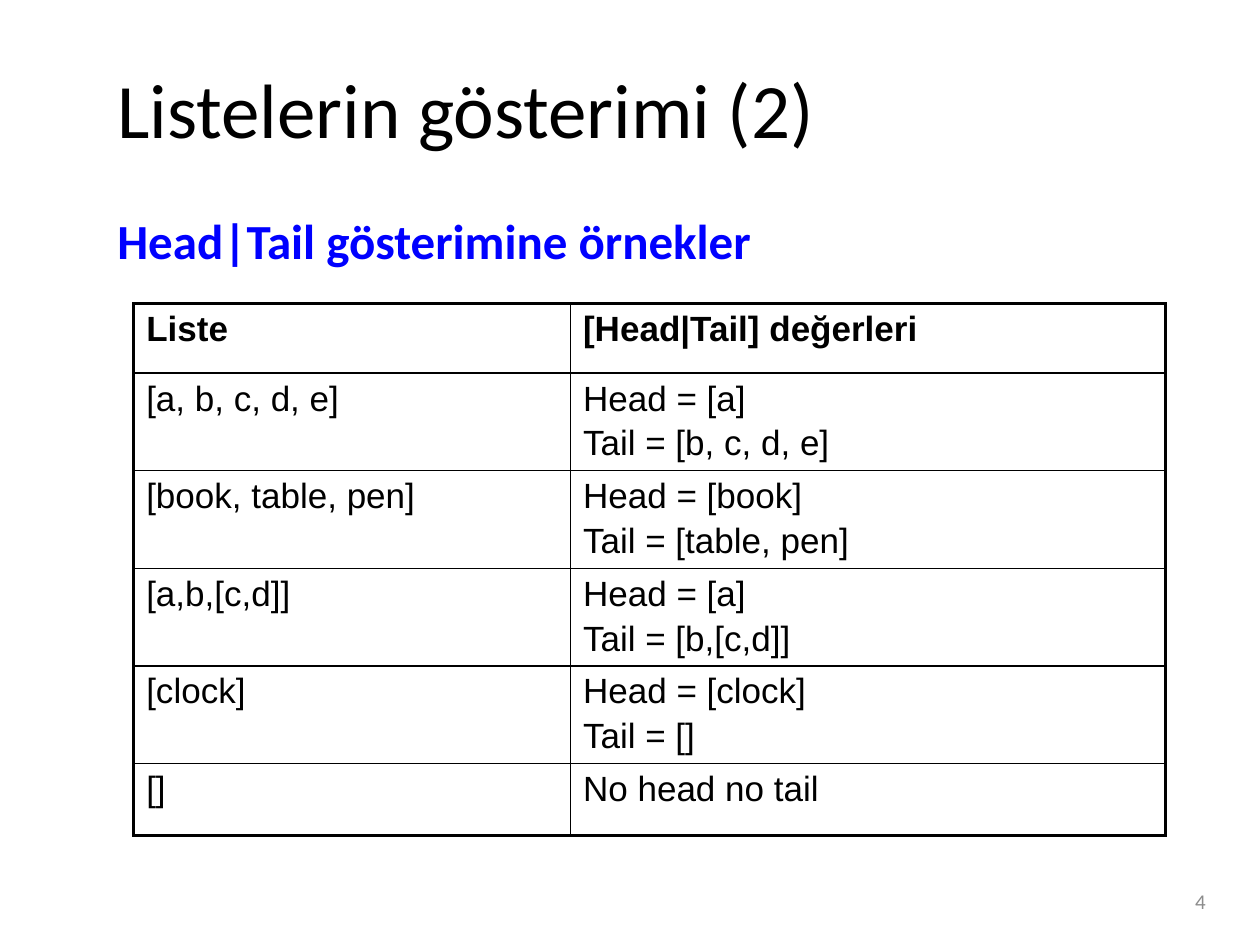
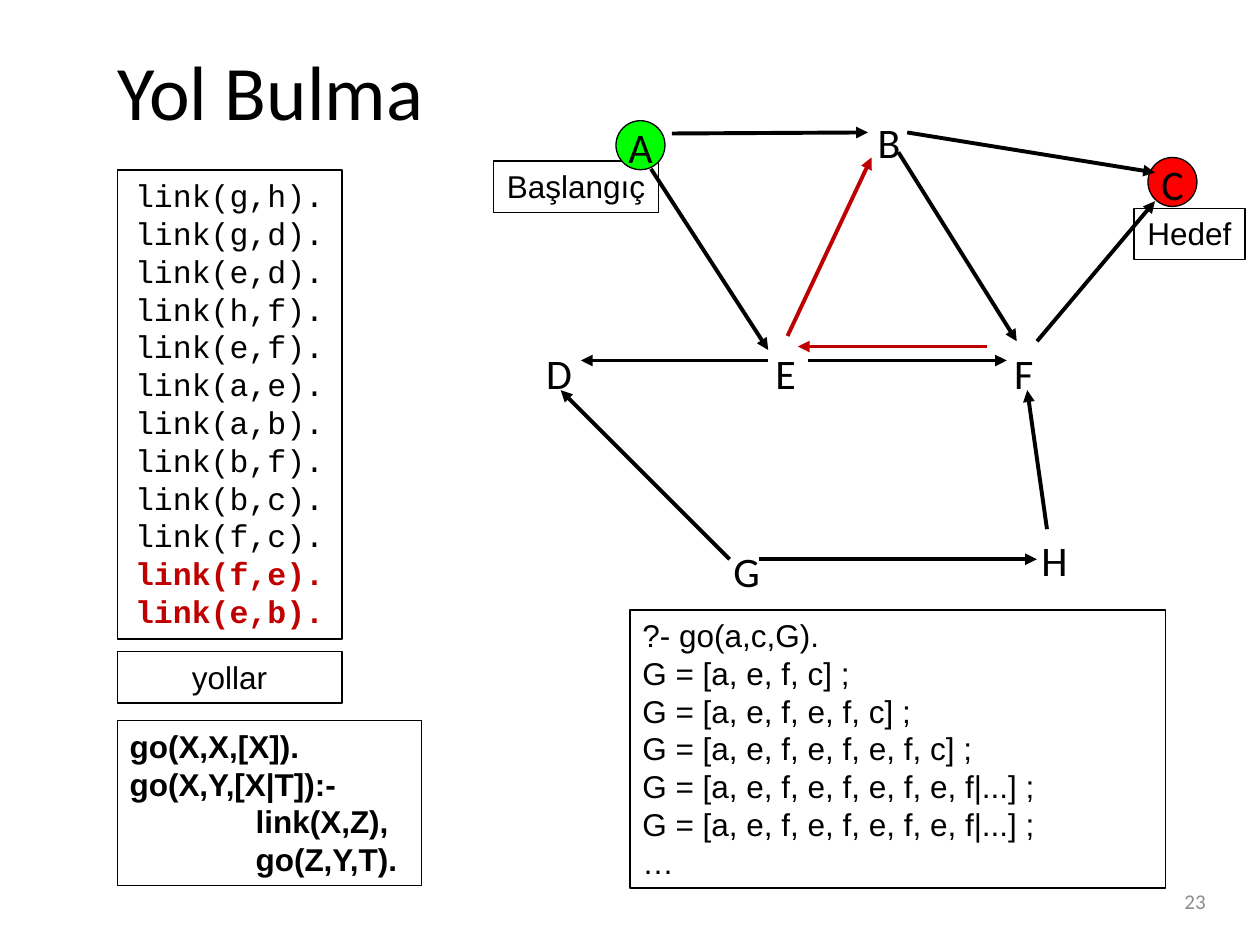
import lxml.etree
import pptx
import pptx.dml.color
import pptx.enum.shapes
import pptx.enum.text
import pptx.oxml.ns
import pptx.util

Pt = pptx.util.Pt
ALIGN = pptx.enum.text.PP_ALIGN
ANCHOR = pptx.enum.text.MSO_ANCHOR
SHAPE = pptx.enum.shapes.MSO_SHAPE
qn = pptx.oxml.ns.qn

BLACK, RED = "000000", "C00000"
TITLE = {"name": "Calibri", "size": Pt(44)}
NUMBER = {"name": "Calibri", "size": Pt(12), "color": "8C8C8C"}
HEADING = {"name": "Calibri", "size": Pt(28), "bold": True, "color": "0000FF"}
CELL = {"name": "Arial", "size": Pt(20)}
NODE = {"name": "Calibri", "size": Pt(24)}
BODY = {"name": "Arial", "size": Pt(18)}
CODE = {"name": "Courier New", "size": Pt(18)}
BOLD = {"bold": True}
CENTER = {"alignment": ALIGN.CENTER}
CODE_LINE = {"line_spacing": Pt(21.6)}

LIST_ROWS = [
    ("Liste", "[Head|Tail] değerleri"),
    ("[a, b, c, d, e]", "Head = [a]\nTail = [b, c, d, e]"),
    ("[book, table, pen]", "Head = [book]\nTail = [table, pen]"),
    ("[a,b,[c,d]]", "Head = [a]\nTail = [b,[c,d]]"),
    ("[clock]", "Head = [clock]\nTail = []"),
    ("[]", "No head no tail"),
]
LINKS = ["gh", "gd", "ed", "hf", "ef", "ae", "ab", "bf", "bc", "fc", "fe", "eb"]
NEW_LINKS = ["fe", "eb"]
RULES = ["go(X,X,[X]).", "go(X,Y,[X|T]):-", "link(X,Z),", "go(Z,Y,T)."]
ANSWERS = [
    "?- go(a,c,G).",
    "G = [a, e, f, c] ;",
    "G = [a, e, f, e, f, c] ;",
    "G = [a, e, f, e, f, e, f, c] ;",
    "G = [a, e, f, e, f, e, f, e, f|...] ;",
    "G = [a, e, f, e, f, e, f, e, f|...] ;",
    "…",
]

# Graph positions are relative to the top left corner of the graph.
NODES = {  # letter: (centre x, top)
    "A": (86, 6), "B": (228, 3), "C": (390, 27), "F": (305, 135),
    "E": (169, 135), "D": (39, 135), "G": (146, 248), "H": (322, 242),
}
NODE_FILLS = {"A": "00FF00", "C": "FF0000"}
TAGS = [("Hedef", 368, 59, 63.4), ("Başlangıç", 2, 32, 94.4)]
ARROWS = [  # from x, from y, to x, to y, colour
    (92, 36.5, 159, 140, BLACK),
    (104, 16.3, 216, 15.7, BLACK),
    (159, 146, 52, 146, BLACK),
    (137, 259.6, 40.4, 163, BLACK),
    (153.5, 259.6, 312.5, 259.6, BLACK),
    (318.3, 242.4, 307, 163, BLACK),
    (182, 146, 295.3, 146, BLACK),
    (312.6, 135, 380, 55, BLACK),
    (233.4, 27, 301, 135, BLACK),
    (238.4, 15.7, 380, 38.6, BLACK),
    (284, 138, 176, 138, RED),
    (170, 132, 218, 30, RED),
]


def rgb(value):
    return pptx.dml.color.RGBColor.from_string(value)


def apply(target, values):
    for name, value in values.items():
        setattr(target, name, value)


def write(frame, lines, font, paragraph_format=None):
    """Write one paragraph a line; a line is a text or a (text, font changes) pair."""
    for index, line in enumerate(lines):
        text, changes = (line, {}) if isinstance(line, str) else line
        paragraph = frame.add_paragraph() if index else frame.paragraphs[0]
        apply(paragraph, paragraph_format or {})
        run = paragraph.add_run()
        run.text = text
        values = {"color": BLACK, **font, **changes}
        run.font.color.rgb = rgb(values.pop("color"))
        apply(run.font, values)


def add_text(slide, box, lines, font, paragraph_format=None, **frame_format):
    frame = slide.shapes.add_textbox(*map(Pt, box)).text_frame
    apply(frame, {"word_wrap": True, **frame_format})
    write(frame, lines, font, paragraph_format)


def add_outlined(slide, kind, box, fill=None):
    shape = slide.shapes.add_shape(kind, *map(Pt, box))
    shape.shadow.inherit = False
    if fill:
        shape.fill.solid()
        shape.fill.fore_color.rgb = rgb(fill)
    else:
        shape.fill.background()
    shape.line.color.rgb = rgb(BLACK)
    shape.line.width = Pt(0.75)
    return shape


def add_framed_text(slide, box, lines, font, paragraph_format, wrap=True, fill=None):
    frame = add_outlined(slide, SHAPE.RECTANGLE, box, fill).text_frame
    apply(frame, {"word_wrap": wrap, "vertical_anchor": ANCHOR.TOP})
    write(frame, lines, font, paragraph_format)
    return frame


def add_arrow(slide, start, end, color):
    arrow = slide.shapes.add_connector(
        pptx.enum.shapes.MSO_CONNECTOR.STRAIGHT, *map(Pt, start + end))
    arrow.line.color.rgb = rgb(color)
    arrow.line.width = Pt(2.25)
    head = lxml.etree.SubElement(arrow.line._get_or_add_ln(), qn("a:tailEnd"))
    head.set("type", "triangle")
    lxml.etree.SubElement(arrow._element.spPr, qn("a:effectLst"))


def set_borders(cell, widths):
    """Draw the left, right, top and bottom borders, in that order."""
    properties = cell._tc.get_or_add_tcPr()
    for index, (side, width) in enumerate(zip("LRTB", widths)):
        line = lxml.etree.Element(qn("a:ln" + side), w=str(int(Pt(width))))
        fill = lxml.etree.SubElement(line, qn("a:solidFill"))
        lxml.etree.SubElement(fill, qn("a:srgbClr"), val=BLACK)
        properties.insert(index, line)


def add_list_table(slide, left, top):
    widths = [249.6, 340]
    heights = [39.6] + [55.8] * 4 + [41]
    last_row, last_column = len(heights) - 1, len(widths) - 1
    table = slide.shapes.add_table(
        len(heights), len(widths), Pt(left), Pt(top),
        Pt(sum(widths)), Pt(sum(heights))).table
    apply(table, {"first_row": False, "horz_banding": False})
    for column, width in zip(table.columns, widths):
        column.width = Pt(width)
    for r, (row, height) in enumerate(zip(table.rows, heights)):
        row.height = Pt(height)
        for c, cell in enumerate(row.cells):
            cell.fill.background()
            cell.margin_bottom = 0
            write(cell.text_frame, LIST_ROWS[r][c].split("\n"),
                  {**CELL, "bold": r == 0})
            for paragraph in cell.text_frame.paragraphs[1:]:
                paragraph.space_before = Pt(3.3)
            outer = (c == 0, c == last_column, r == 0, r == last_row)
            set_borders(cell, [2.25 if side else 1 for side in outer])


def add_graph(slide, left, top):
    for text, x, y, width in TAGS:
        add_framed_text(slide, (left + x, top + y, width, 29.5), [text],
                        BODY, CENTER, wrap=False)
    for letter, fill in NODE_FILLS.items():
        x, y = NODES[letter]
        add_outlined(slide, SHAPE.OVAL, (left + x - 14, top + y + 3, 28, 28), fill)
    for letter, (x, y) in NODES.items():
        add_text(slide, (left + x - 14, top + y, 28, 36), [letter], NODE, CENTER,
                 word_wrap=False)
    for x1, y1, x2, y2, color in ARROWS:
        add_arrow(slide, (left + x1, top + y1), (left + x2, top + y2), color)


def add_program(slide, left, top):
    """Stack the link facts, their caption and the rules."""
    facts = [(f"link({a},{b}).", {"bold": True, "color": RED} if a + b in NEW_LINKS else {})
             for a, b in LINKS]
    add_framed_text(slide, (left, top, 128.4, 268), facts, CODE, {**CENTER, **CODE_LINE})
    add_framed_text(slide, (left, top + 275, 128.4, 29.5), ["yollar"], BODY, CENTER,
                    fill="FFFFFF")
    rules = add_framed_text(slide, (left, top + 314.6, 174, 94.4), RULES,
                            {**BODY, **BOLD}, {"alignment": ALIGN.LEFT, **CODE_LINE})
    for paragraph in rules.paragraphs[2:]:
        paragraph._p.get_or_add_pPr().set("marL", str(int(Pt(72))))


def add_page(presentation, title, title_box, number):
    slide = presentation.slides.add_slide(presentation.slide_layouts[6])
    add_text(slide, title_box, [title], TITLE, vertical_anchor=ANCHOR.MIDDLE)
    add_text(slide, (528, 500.4, 168, 28.8), [number], NUMBER,
             {"alignment": ALIGN.RIGHT}, vertical_anchor=ANCHOR.MIDDLE)
    return slide


def build_list_slide(presentation):
    slide = add_page(presentation, "Listelerin gösterimi (2)", (60, 15, 635, 93), "4")
    add_text(slide, (60, 117, 607, 51), ["Head|Tail gösterimine örnekler"], HEADING)
    add_list_table(slide, 76.4, 173.6)


def build_path_slide(presentation):
    slide = add_page(presentation, "Yol Bulma", (60, 21.6, 624, 59), "23")
    add_graph(slide, 280, 60)
    add_program(slide, 67, 97.2)
    add_framed_text(slide, (360, 348.5, 306, 159), ANSWERS, BODY,
                    {"alignment": ALIGN.LEFT, **CODE_LINE})


def main():
    presentation = pptx.Presentation()
    apply(presentation, {"slide_width": Pt(720), "slide_height": Pt(540)})
    build_list_slide(presentation)
    build_path_slide(presentation)
    presentation.save("out.pptx")


if __name__ == "__main__":
    main()
